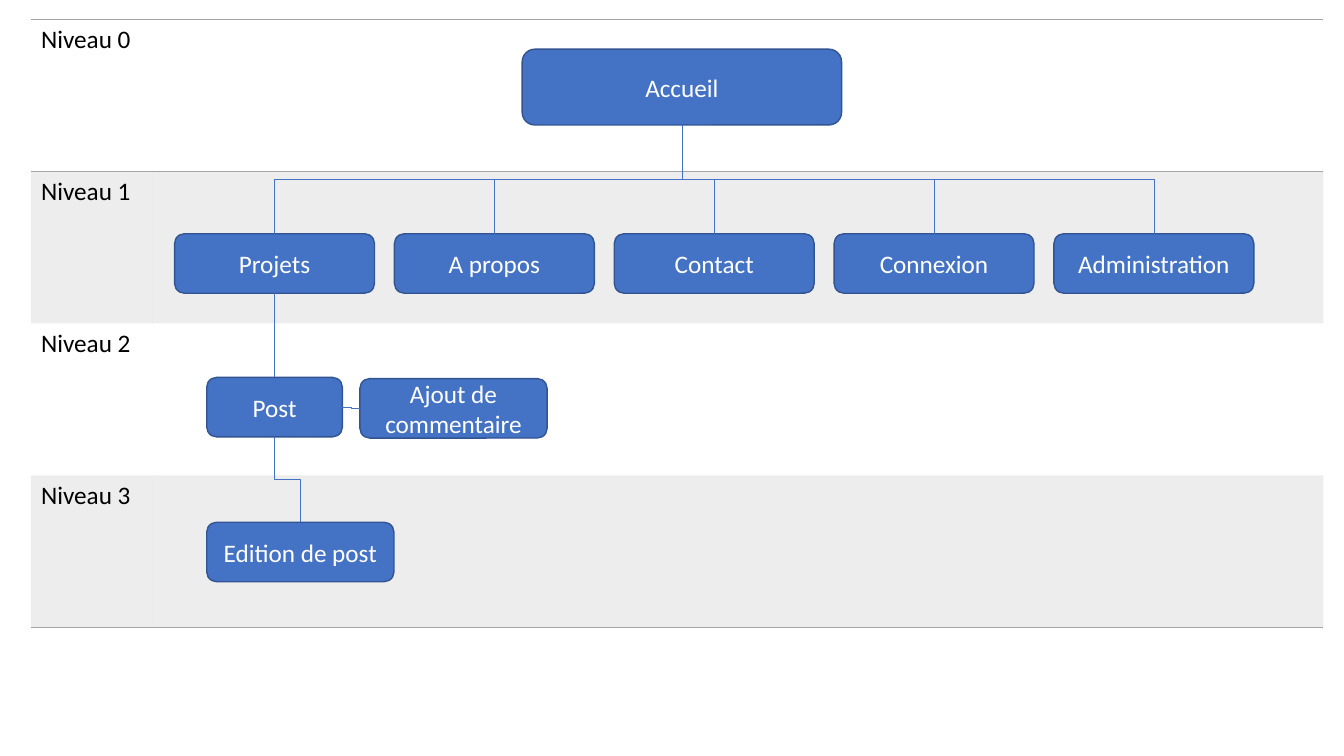
import lxml.etree
import pptx
import pptx.dml.color
import pptx.enum.shapes
import pptx.enum.text
import pptx.oxml.ns
import pptx.util

Cm = pptx.util.Cm
Pt = pptx.util.Pt
RGBColor = pptx.dml.color.RGBColor
CONNECTOR = pptx.enum.shapes.MSO_CONNECTOR
qn = pptx.oxml.ns.qn

BLUE = RGBColor(0x44, 0x72, 0xC4)
DARK_BLUE = RGBColor(0x32, 0x54, 0x91)
GRAY = RGBColor(0xA5, 0xA5, 0xA5)
BLACK = RGBColor(0, 0, 0)
WHITE = RGBColor(0xFF, 0xFF, 0xFF)
NO_STYLE = "{2D5ABB26-0587-4C30-8999-92F81FD0307C}"
TOP, LEFT, BOTTOM, RIGHT = range(4)


class Sitemap:
    font = "Calibri"
    size = Pt(18)

    def __init__(self, slide):
        self.s = slide

    def style(self, p, color):
        p.font.name = self.font
        p.font.size = self.size
        p.font.color.rgb = color

    def border(self, cell, tag):
        tcPr = cell._tc.get_or_add_tcPr()
        ln = lxml.etree.Element(qn(tag), w=str(Pt(1)))
        fill = lxml.etree.SubElement(ln, qn("a:solidFill"))
        lxml.etree.SubElement(fill, qn("a:srgbClr"), val=str(GRAY))
        tcPr.insert(len(tcPr.findall(qn("a:lnT"))), ln)

    def shade(self, cell):
        cell.fill.solid()
        cell.fill.fore_color.rgb = GRAY
        clr = cell._tc.tcPr.find(".//" + qn("a:srgbClr"))
        lxml.etree.SubElement(clr, qn("a:alpha"), val="20000")

    def levels(self, labels, left, top, widths, height):
        frame = self.s.shapes.add_table(
            len(labels), len(widths), Cm(left), Cm(top),
            Cm(sum(widths)), Cm(height * len(labels)))
        tbl = frame.table
        tbl.first_row = tbl.horz_banding = False
        tbl._tbl.tblPr.find(qn("a:tableStyleId")).text = NO_STYLE
        for col, width in zip(tbl.columns, widths):
            col.width = Cm(width)
        for i, label in enumerate(labels):
            tbl.rows[i].height = Cm(height)
            tbl.cell(i, 0).text = label
            for cell in tbl.rows[i].cells:
                self.style(cell.text_frame.paragraphs[0], BLACK)
                if i % 2:
                    self.shade(cell)
                else:
                    cell.fill.background()
                if i == 0:
                    self.border(cell, "a:lnT")
                if i in (0, len(labels) - 1):
                    self.border(cell, "a:lnB")

    def box(self, text, left, top, width, height=1.5):
        sp = self.s.shapes.add_shape(
            pptx.enum.shapes.MSO_SHAPE.ROUNDED_RECTANGLE,
            Cm(left), Cm(top), Cm(width), Cm(height))
        sp.shadow.inherit = False
        sp.fill.solid()
        sp.fill.fore_color.rgb = BLUE
        sp.line.color.rgb = DARK_BLUE
        sp.line.width = Pt(1)
        tf = sp.text_frame
        tf.word_wrap = True
        tf.vertical_anchor = pptx.enum.text.MSO_ANCHOR.MIDDLE
        p = tf.paragraphs[0]
        p.text = text
        p.alignment = pptx.enum.text.PP_ALIGN.CENTER
        self.style(p, WHITE)
        return sp

    def link(self, kind, start, start_side, end, end_side):
        c = self.s.shapes.add_connector(kind, 0, 0, 0, 0)
        c.begin_connect(start, start_side)
        c.end_connect(end, end_side)
        c.line.color.rgb = BLUE
        c.line.width = Pt(0.5)
        lxml.etree.SubElement(c._element.spPr, qn("a:effectLst"))
        return c

    def drop(self, parent, child):
        c = self.link(CONNECTOR.ELBOW, parent, BOTTOM, child, TOP)
        dx, dy = c.end_x - c.begin_x, c.end_y - c.begin_y
        mid_x, mid_y = c.begin_x + dx // 2, c.begin_y + dy // 2
        xfrm = c._element.spPr.find(qn("a:xfrm"))
        xfrm.flipH = dx > 0
        xfrm.rot = 270 if dx > 0 else 90
        c.width, c.height = dy, abs(dx)
        c.left, c.top = mid_x - dy // 2, mid_y - abs(dx) // 2


def main():
    prs = pptx.Presentation()
    prs.slide_width, prs.slide_height = Cm(33.87), Cm(19.05)
    m = Sitemap(prs.slides.add_slide(prs.slide_layouts[6]))

    m.levels([f"Niveau {i}" for i in range(4)], 0.78, 0.49, (3.07, 29.5), 3.83)

    home = m.box("Accueil", 13.16, 1.24, 8.05, 1.91)
    names = ("Projets", "A propos", "Contact", "Connexion", "Administration")
    pages = [m.box(name, 4.4 + 5.54 * i, 5.89, 5.04)
             for i, name in enumerate(names)]
    post = m.box("Post", 5.21, 9.51, 3.42)
    edit = m.box("Edition de post", 5.21, 13.16, 4.72)
    comment = m.box("Ajout de commentaire", 9.07, 9.54, 4.72)

    for page in pages:
        m.drop(home, page)
    m.link(CONNECTOR.STRAIGHT, pages[0], BOTTOM, post, TOP)
    m.drop(post, edit)
    m.link(CONNECTOR.ELBOW, post, RIGHT, comment, LEFT)

    prs.save("out.pptx")


if __name__ == "__main__":
    main()
